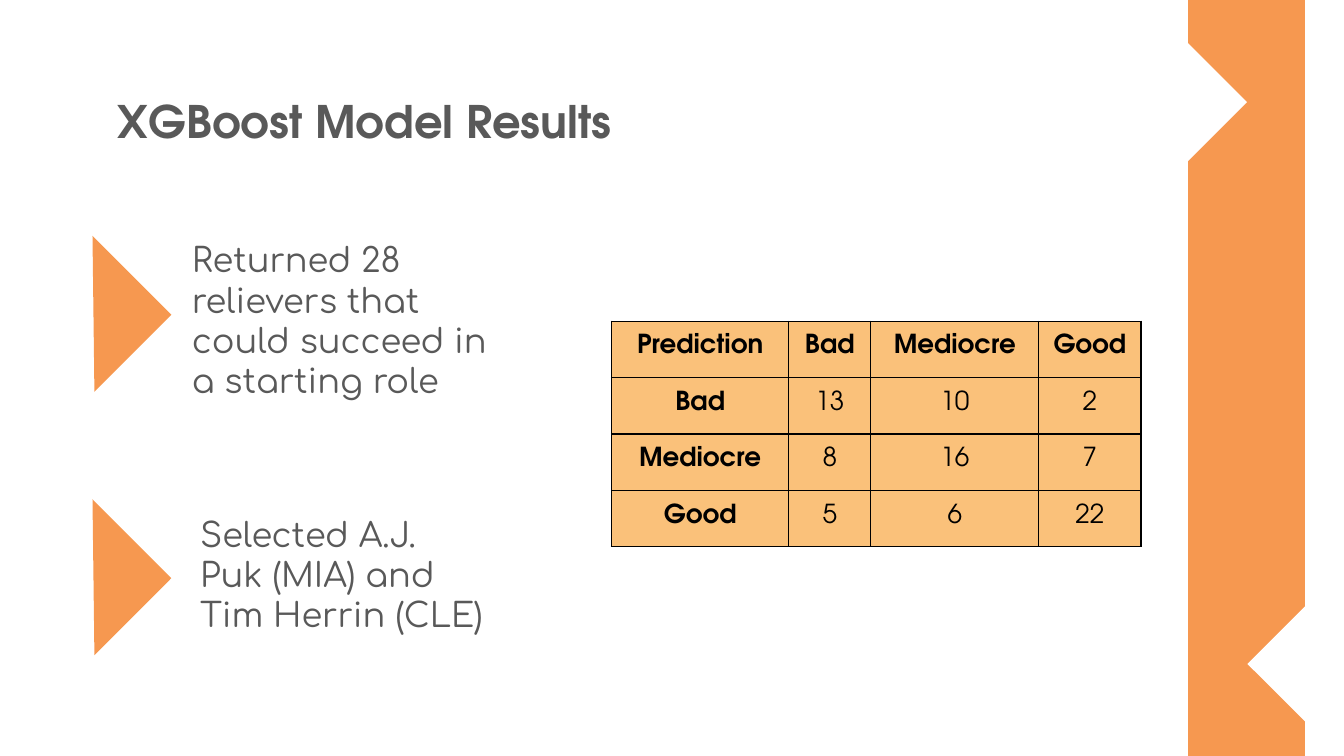
from lxml import etree
from pptx import Presentation
from pptx.dml.color import RGBColor
from pptx.enum.shapes import MSO_SHAPE
from pptx.enum.text import MSO_ANCHOR, PP_ALIGN
from pptx.oxml.ns import qn
from pptx.util import Inches, Pt

ORANGE = RGBColor(0xF6, 0x98, 0x50)
PEACH = RGBColor(0xFA, 0xC1, 0x7A)
GRAY = RGBColor(0x59, 0x59, 0x59)
WHITE = RGBColor(0xFF, 0xFF, 0xFF)
BLACK = RGBColor(0x00, 0x00, 0x00)
HEADING_FONT = "TeX Gyre Adventor"
BODY_FONT = "Comfortaa"
INSET = Inches(0.1)


class SlideBuilder:
    def __init__(self, slide):
        self.slide = slide

    def shape(self, kind, left, top, width, height, color, rotation=0):
        shape = self.slide.shapes.add_shape(
            kind, Inches(left), Inches(top), Inches(width), Inches(height))
        shape.shadow.inherit = False
        shape.fill.solid()
        shape.fill.fore_color.rgb = color
        shape.line.fill.background()
        shape.rotation = rotation
        return shape

    def marker(self, left, top):
        """Draw a triangle that points right: a half frame with its gap closed."""
        marker = self.shape(MSO_SHAPE.HALF_FRAME, left, top, 0.81, 0.83, ORANGE, 135)
        marker.adjustments[0] = 0.29
        marker.adjustments[1] = 0.82

    def style(self, paragraph, font_name, size, color, bold=False):
        font = paragraph.font
        font.name, font.size, font.bold = font_name, Pt(size), bold
        font.color.rgb = color

    def text(self, words, left, top, width, height, font_name, size,
             bold=False, anchor=MSO_ANCHOR.TOP):
        frame = self.slide.shapes.add_textbox(
            Inches(left), Inches(top), Inches(width), Inches(height)).text_frame
        frame.word_wrap = True
        frame.vertical_anchor = anchor
        frame.margin_left = frame.margin_right = INSET
        frame.margin_top = frame.margin_bottom = INSET
        frame.text = words
        self.style(frame.paragraphs[0], font_name, size, GRAY, bold)

    def table(self, rows, left, top, column_widths, row_height):
        table = self.slide.shapes.add_table(
            len(rows), len(column_widths), Inches(left), Inches(top),
            Inches(sum(column_widths)), Inches(row_height * len(rows))).table
        for column, width in zip(table.columns, column_widths):
            column.width = Inches(width)
        for r, row in enumerate(rows):
            for c, value in enumerate(row):
                self.cell(table.cell(r, c), value, bold=r == 0 or c == 0)

    def cell(self, cell, value, bold):
        cell.margin_left = cell.margin_right = cell.margin_top = INSET
        cell.margin_bottom = Inches(0.08)
        cell.text = str(value)
        paragraph = cell.text_frame.paragraphs[0]
        paragraph.alignment = PP_ALIGN.CENTER
        self.style(paragraph, HEADING_FONT, 14, BLACK, bold)
        properties = cell._tc.get_or_add_tcPr()
        for side in ("a:lnL", "a:lnR", "a:lnT", "a:lnB"):
            border = etree.SubElement(properties, qn(side), w=str(Pt(0.75)))
            fill = etree.SubElement(border, qn("a:solidFill"))
            etree.SubElement(fill, qn("a:srgbClr"), val=str(BLACK))
        cell.fill.solid()
        cell.fill.fore_color.rgb = PEACH


def main():
    presentation = Presentation()
    presentation.slide_width = Inches(10)
    presentation.slide_height = Inches(10 * 9 / 16)
    builder = SlideBuilder(presentation.slides.add_slide(presentation.slide_layouts[6]))

    builder.shape(MSO_SHAPE.RECTANGLE, 8.84, 0, 0.87, 5.63, ORANGE)
    for left, top in ((8.53, 0.45), (9.41, 4.63)):
        builder.shape(MSO_SHAPE.RECTANGLE, left, top, 0.62, 0.62, WHITE, 315)

    builder.text("XGBoost Model Results", 0.78, 0.58, 8.44, 0.63,
                 HEADING_FONT, 24, bold=True, anchor=MSO_ANCHOR.MIDDLE)

    for top in (1.92, 3.88):
        builder.marker(0.29, top)
    builder.text("Returned 28 relievers that could succeed in a starting role",
                 1.33, 1.68, 2.54, 1.31, BODY_FONT, 18)
    builder.text("Selected A.J. Puk (MIA) and Tim Herrin (CLE)",
                 1.39, 3.72, 2.31, 1.08, BODY_FONT, 18)

    confusion_matrix = [
        ("Prediction", "Bad", "Mediocre", "Good"),
        ("Bad", 13, 10, 2),
        ("Mediocre", 8, 16, 7),
        ("Good", 5, 6, 22),
    ]
    builder.table(confusion_matrix, 4.55, 2.39, (1.32, 0.61, 1.25, 0.76), 0.42)

    presentation.save("out.pptx")


if __name__ == "__main__":
    main()
